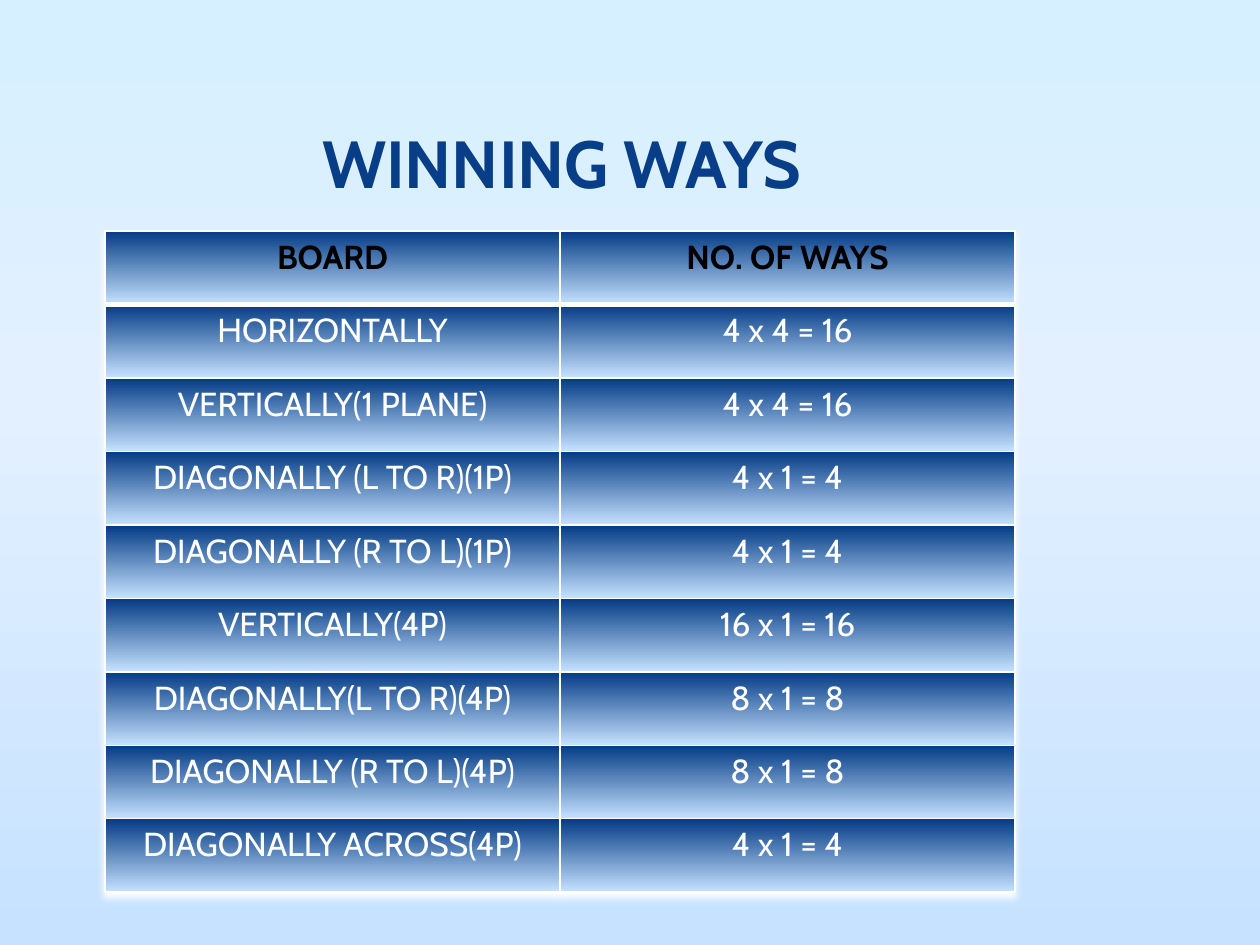
from pptx import Presentation
from pptx.dml.color import RGBColor as RGB
from pptx.enum.text import PP_ALIGN as AL, MSO_ANCHOR as ANC, MSO_AUTO_SIZE as AUTO
from pptx.oxml import parse_xml as xml
from pptx.util import Pt

NS = 'xmlns:a="http://schemas.openxmlformats.org/drawingml/2006/main"'
NAVY = RGB(0x07, 0x3E, 0x87)
INK = RGB(0x00, 0x1E, 0x47)
BLACK = RGB(0, 0, 0)
WHITE = RGB(0xFF, 0xFF, 0xFF)
SKY = RGB(0xD6, 0xF0, 0xFF)
PALE = RGB(0xE3, 0xF0, 0xFF)
BLUE = RGB(0xC6, 0xE2, 0xFF)

ROWS = [
    ("BOARD", "NO. OF WAYS"),
    ("HORIZONTALLY", "4 x 4 = 16"),
    ("VERTICALLY(1 PLANE)", "4 x 4 = 16"),
    ("DIAGONALLY (L TO R)(1P)", "4 x 1 = 4"),
    ("DIAGONALLY (R TO L)(1P)", "4 x 1 = 4"),
    ("VERTICALLY(4P)", "16 x 1 = 16"),
    ("DIAGONALLY(L TO R)(4P)", "8 x 1 = 8"),
    ("DIAGONALLY (R TO L)(4P)", "8 x 1 = 8"),
    ("DIAGONALLY ACROSS(4P)", "4 x 1 = 4"),
]


def put(obj, vals):
    for key, val in vals.items():
        setattr(obj, key, val)


class Deck:
    font = "Cabin"
    cell = dict(margin_left=Pt(7.2), margin_right=Pt(7.2),
                margin_top=Pt(3.6), margin_bottom=Pt(3.6))
    flags = dict(first_row=False, horz_banding=False)

    def __init__(self, wide, high):
        self.prs = Presentation()
        put(self.prs, dict(slide_width=Pt(wide), slide_height=Pt(high)))
        self.slide = self.prs.slides.add_slide(self.prs.slide_layouts[5])

    def fade(self, fill, node, stops):
        fill.gradient()
        fill.gradient_angle = 270
        group = node.xpath(".//a:gsLst")[0]
        group.clear()
        for pos, hue in stops:
            group.append(xml(f'<a:gs {NS} pos="{pos * 1000}"><a:srgbClr val="{hue}"/></a:gs>'))

    def ground(self, stops):
        self.fade(self.slide.background.fill, self.slide.element, stops)

    def text(self, frame, words, size, hue, bold):
        para = frame.paragraphs[0]
        para.alignment = AL.CENTER
        run = para.add_run()
        run.text = words
        put(run.font, dict(name=self.font, size=Pt(size), bold=bold))
        run.font.color.rgb = hue
        return run

    def title(self, words, left, top, wide, high):
        box = self.slide.shapes.title
        put(box, dict(left=Pt(left), top=Pt(top), width=Pt(wide), height=Pt(high)))
        put(box.text_frame, dict(
            margin_left=Pt(3.6), margin_right=Pt(3.6), margin_top=0, margin_bottom=0,
            vertical_anchor=ANC.BOTTOM, word_wrap=True, auto_size=AUTO.NONE))
        run = self.text(box.text_frame, words, 38, NAVY, True)
        run.font.fill._xPr.insert(0, xml(
            f'<a:ln {NS} w="508"><a:solidFill><a:srgbClr val="{INK}"/></a:solidFill></a:ln>'))

    def edge(self, cell, sides):
        prop = cell._tc.get_or_add_tcPr()
        for spot, (side, size) in enumerate(sides.items()):
            prop.insert(spot, xml(
                f'<a:ln{side} {NS} w="{Pt(size)}"><a:solidFill>'
                f'<a:srgbClr val="{WHITE}"/></a:solidFill></a:ln{side}>'))

    def table(self, rows, left, top, wide, high, stops):
        grid = self.slide.shapes.add_table(
            len(rows), len(rows[0]), Pt(left), Pt(top), Pt(wide), Pt(high)).table
        put(grid, self.flags)
        grid._tbl.tblPr.insert(0, xml(
            f'<a:effectLst {NS}><a:outerShdw blurRad="{Pt(4)}" dist="{Pt(3)}" dir="5400000" '
            f'rotWithShape="0"><a:srgbClr val="{WHITE}"/></a:outerShdw></a:effectLst>'))
        for r, row in enumerate(rows):
            head = r == 0
            for c, words in enumerate(row):
                cell = grid.cell(r, c)
                put(cell, self.cell)
                self.fade(cell.fill, cell._tc, stops)
                self.edge(cell, dict(L=1, R=1, T=3 if r == 1 else 1, B=3 if head else 1))
                self.text(cell.text_frame, words, 19, BLACK if head else WHITE, head)


deck = Deck(720, 540)
deck.ground([(2, SKY), (42, PALE), (100, BLUE)])
deck.title("WINNING WAYS", 36, 25.2, 570, 90)
deck.table(ROWS, 60, 132, 520, 378, [(2, NAVY), (100, BLUE)])
deck.prs.save("out.pptx")
